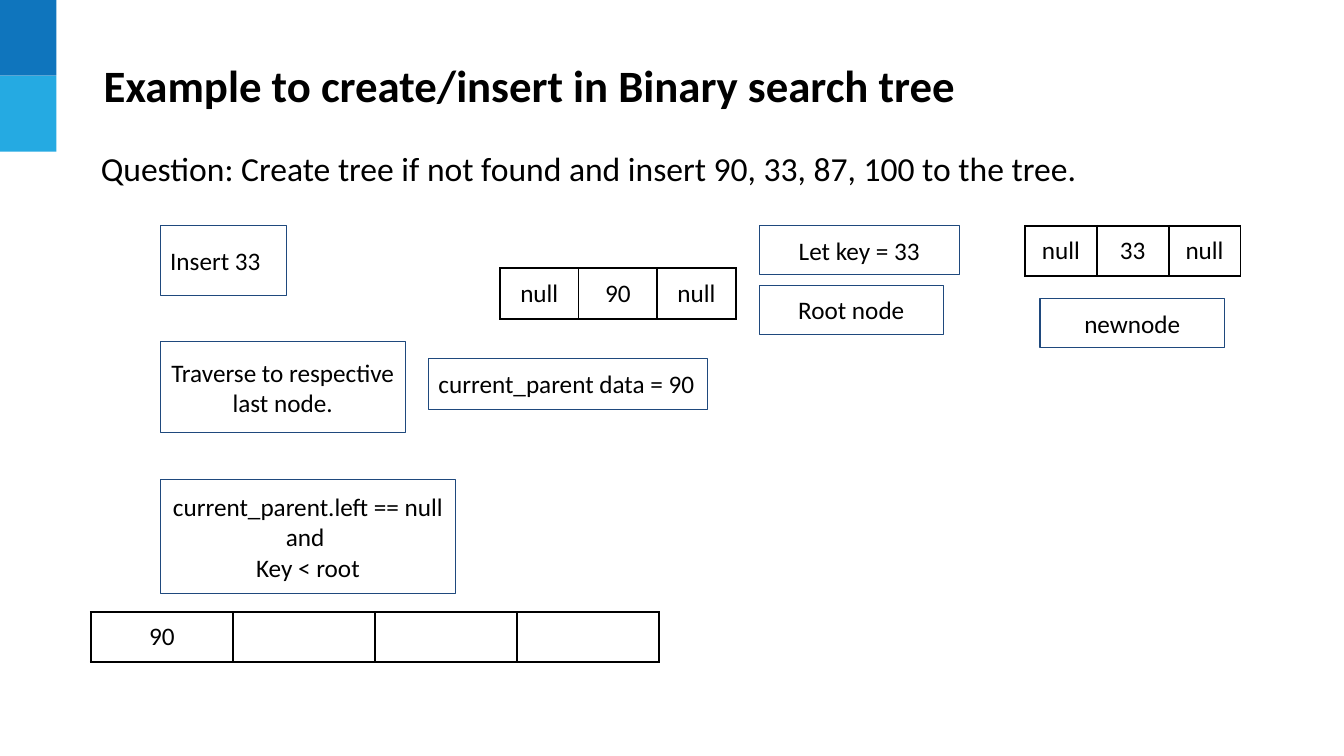
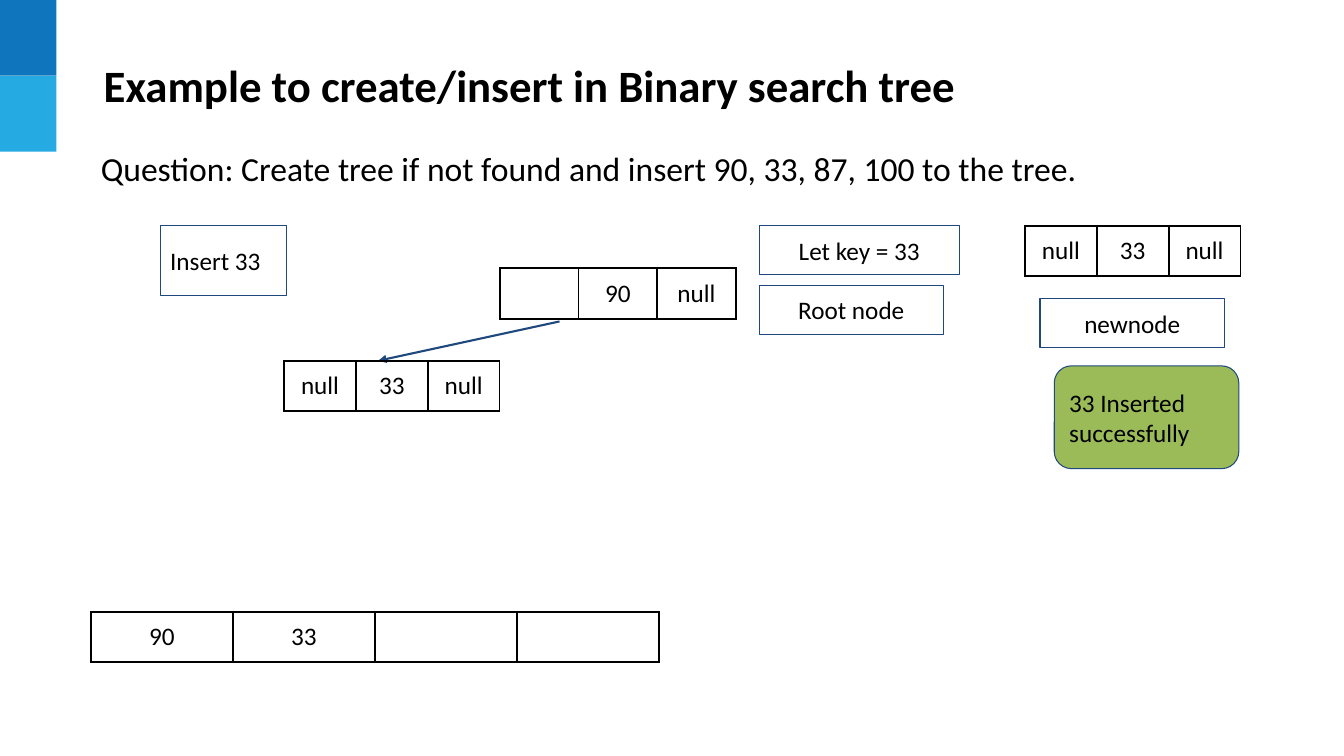
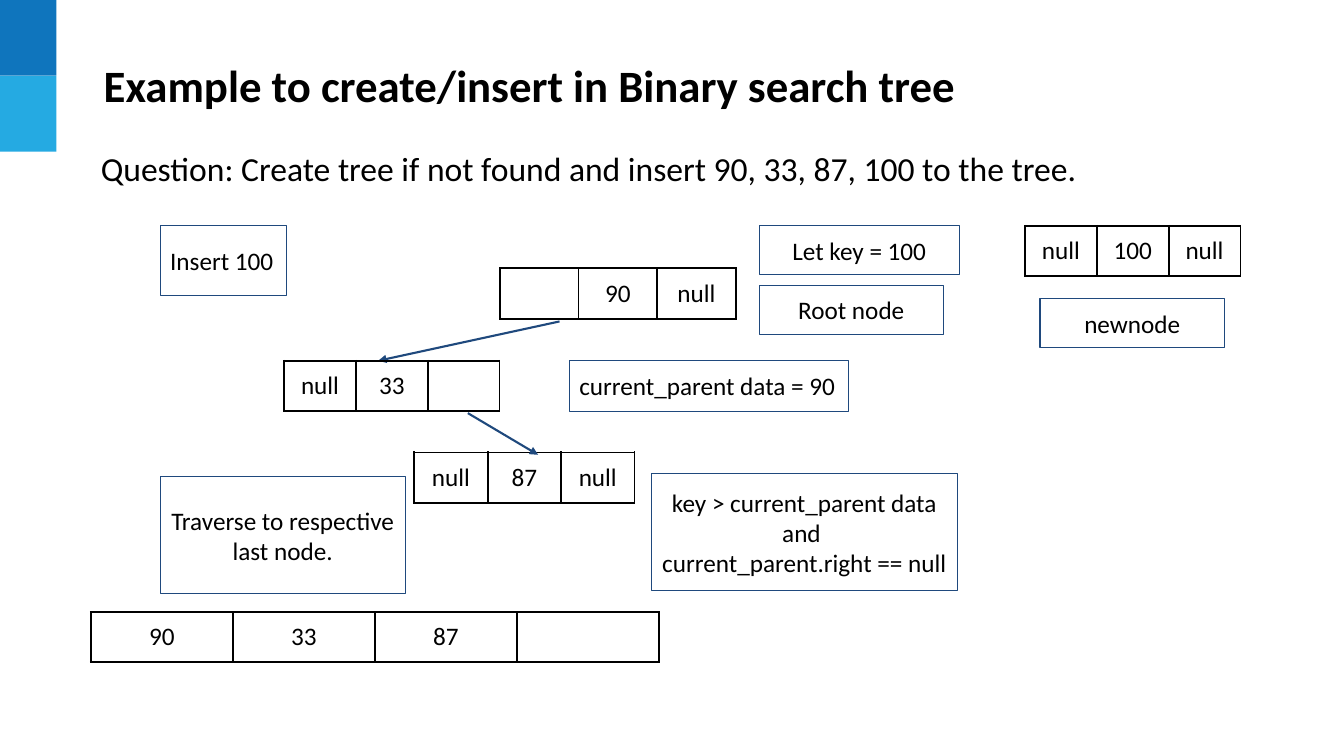
from pptx import Presentation
from pptx import util as u
from pptx.dml.color import RGBColor
from pptx.enum import shapes, text
from pptx.oxml import parse_xml
from pptx.oxml.ns import nsdecls, qn

BLACK, WHITE, NAVY, GREEN = "000000", "FFFFFF", "1F497D", "9BBB59"
BANDS = ("0F75BD", "25AAE2")
LEFT, MID = text.PP_ALIGN.LEFT, text.PP_ALIGN.CENTER
RECT, ROUND = shapes.MSO_SHAPE.RECTANGLE, shapes.MSO_SHAPE.ROUNDED_RECTANGLE
TITLE = "Example to create/insert in Binary search tree"
ASK = "Question: Create tree if not found and insert 90, 33, 87, 100 to the tree."
PAD = u.Cm(0.25)


def tint(code):
    return RGBColor.from_string(code)


class Deck:
    """Holds the shared style and the current slide."""

    def __init__(self):
        self.prs = Presentation()
        self.prs.slide_width, self.prs.slide_height = u.Cm(33.87), u.Cm(19.05)
        self.slide = None

    def start(self):
        self.slide = self.prs.slides.add_slide(self.prs.slide_layouts[1])
        head, body = self.slide.placeholders
        self.place(head, 2.36, 0.99, 29.51, 2.29)
        self.place(body, 2.29, 3.48, 29.51, 1.55)
        # Title
        head.text_frame.text = TITLE
        head.text_frame.vertical_anchor = text.MSO_ANCHOR.MIDDLE
        head.text_frame.auto_size = text.MSO_AUTO_SIZE.NONE
        self.style(head.text_frame, 32, LEFT, True)
        # Question line, without a bullet
        frame = body.text_frame
        frame.text = ASK
        self.pad(frame)
        frame.auto_size = text.MSO_AUTO_SIZE.SHAPE_TO_FIT_TEXT
        props = frame.paragraphs[0]._p.get_or_add_pPr()
        props.set("marL", "0")
        props.set("indent", "0")
        props.append(parse_xml(f"<a:buNone {nsdecls('a')}/>"))
        self.style(frame, 24, LEFT)

    def place(self, item, x, y, w, h):
        item.left, item.top = u.Cm(x), u.Cm(y)
        item.width, item.height = u.Cm(w), u.Cm(h)

    def pad(self, area):
        area.margin_left = area.margin_right = PAD
        area.margin_top = area.margin_bottom = PAD

    def style(self, frame, size=18, align=MID, bold=False):
        for par in frame.paragraphs:
            par.alignment = align
            par.space_before = u.Pt(0)
            font = par.font
            font.name, font.size, font.bold = "Calibri", u.Pt(size), bold
            font.color.rgb = tint(BLACK)

    def shape(self, kind, x, y, w, h, fill):
        item = self.slide.shapes.add_shape(kind, u.Cm(x), u.Cm(y), u.Cm(w), u.Cm(h))
        item.shadow.inherit = False
        item.fill.solid()
        item.fill.fore_color.rgb = tint(fill)
        return item

    def bands(self):
        """Put the corner bands on the master, where all slides share them."""
        for n, fill in enumerate(BANDS):
            band = self.shape(RECT, 0, 1.91 * n, 1.42, 1.91, fill)
            band.line.fill.background()
            band.element.xpath("./p:nvSpPr/p:cNvPr")[0].set("id", str(20 + n))
            self.prs.slide_master.shapes.element.append(band.element)

    def box(self, words, x, y, w, h, align=MID, kind=RECT, fill=WHITE):
        item = self.shape(kind, x, y, w, h, fill)
        item.line.color.rgb, item.line.width = tint(NAVY), u.Pt(0.75)
        frame = item.text_frame
        frame.word_wrap = True
        frame.vertical_anchor = text.MSO_ANCHOR.MIDDLE
        frame.text = words
        self.pad(frame)
        self.style(frame, align=align)

    def cells(self, words, x, y, wide):
        """A one-row table with black cell borders."""
        count = len(words)
        grid = self.slide.shapes.add_table(
            1, count, u.Cm(x), u.Cm(y), u.Cm(wide * count), u.Cm(1.27)).table
        grid.first_row = grid.horz_banding = False
        for col, cell, word in zip(grid.columns, grid.rows[0].cells, words):
            col.width = u.Cm(wide)
            cell.text = word
            self.pad(cell)
            self.style(cell.text_frame)
            props = cell._tc.get_or_add_tcPr()
            for side in ("lnL", "lnR", "lnT", "lnB"):
                props.append(parse_xml(
                    f'<a:{side} {nsdecls("a")} w="{u.Pt(1.5)}"><a:solidFill>'
                    f'<a:srgbClr val="{BLACK}"/></a:solidFill></a:{side}>'))
            cell.fill.background()

    def arrow(self, x1, y1, x2, y2):
        item = self.slide.shapes.add_connector(
            shapes.MSO_CONNECTOR.STRAIGHT, u.Cm(x1), u.Cm(y1), u.Cm(x2), u.Cm(y2))
        item.line.color.rgb, item.line.width = tint(NAVY), u.Pt(1.5)
        props = item.element.spPr
        props.find(qn("a:ln")).append(
            parse_xml(f'<a:tailEnd {nsdecls("a")} type="triangle"/>'))
        props.append(parse_xml(f"<a:effectLst {nsdecls('a')}/>"))

    # Parts of the tree example
    def step(self, key, left, done):
        """Start a slide with the key, new node, root and inserted values."""
        self.start()
        self.box(f"Insert {key}", 4.04, 5.69, 3.18, 1.75, LEFT)
        self.box(f"Let key = {key}", 19.13, 5.69, 5.05, 1.24)
        self.box("Root node", 19.13, 7.19, 4.65, 1.24)
        self.box("newnode", 26.21, 7.52, 4.65, 1.24)
        self.cells(["null", key, "null"], 25.83, 5.69, 1.81)
        self.cells([left, "90", "null"], 12.6, 6.76, 1.98)
        self.cells(done + [""] * (4 - len(done)), 2.29, 15.42, 3.58)

    def child(self, right):
        """Node 33, linked to the root."""
        self.arrow(14.1, 8.1, 9.53, 9.09)
        self.cells(["null", "33", right], 7.16, 9.09, 1.81)

    def walk(self, y, h):
        self.box("Traverse to respective last node.", 4.04, y, 6.17, h)

    def parent(self, x, y):
        self.box("current_parent data = 90", x, y, 7.04, 1.27, LEFT)


def main():
    deck = Deck()

    # Find the place for 33
    deck.step("33", "null", ["90"])
    deck.bands()
    deck.walk(8.61, 2.29)
    deck.parent(10.8, 9.04)
    deck.box("current_parent.left == null\vand \nKey < root", 4.04, 12.09, 7.44, 2.87)

    # 33 is in the tree
    deck.step("33", "", ["90", "33"])
    deck.child("null")
    deck.box("33 Inserted successfully", 26.57, 9.22, 4.65, 2.59, LEFT, ROUND, GREEN)

    # Find the place for 100
    deck.step("100", "", ["90", "33", "87"])
    deck.child("")
    deck.cells(["null", "87", "null"], 10.44, 11.4, 1.85)
    deck.arrow(11.79, 10.41, 13.56, 11.46)
    deck.walk(12.01, 2.95)
    deck.parent(14.35, 9.09)
    deck.box("key > current_parent data\nand \ncurrent_parent.right == null",
             16.41, 11.94, 7.72, 2.95)

    deck.prs.save("out.pptx")


if __name__ == "__main__":
    main()
